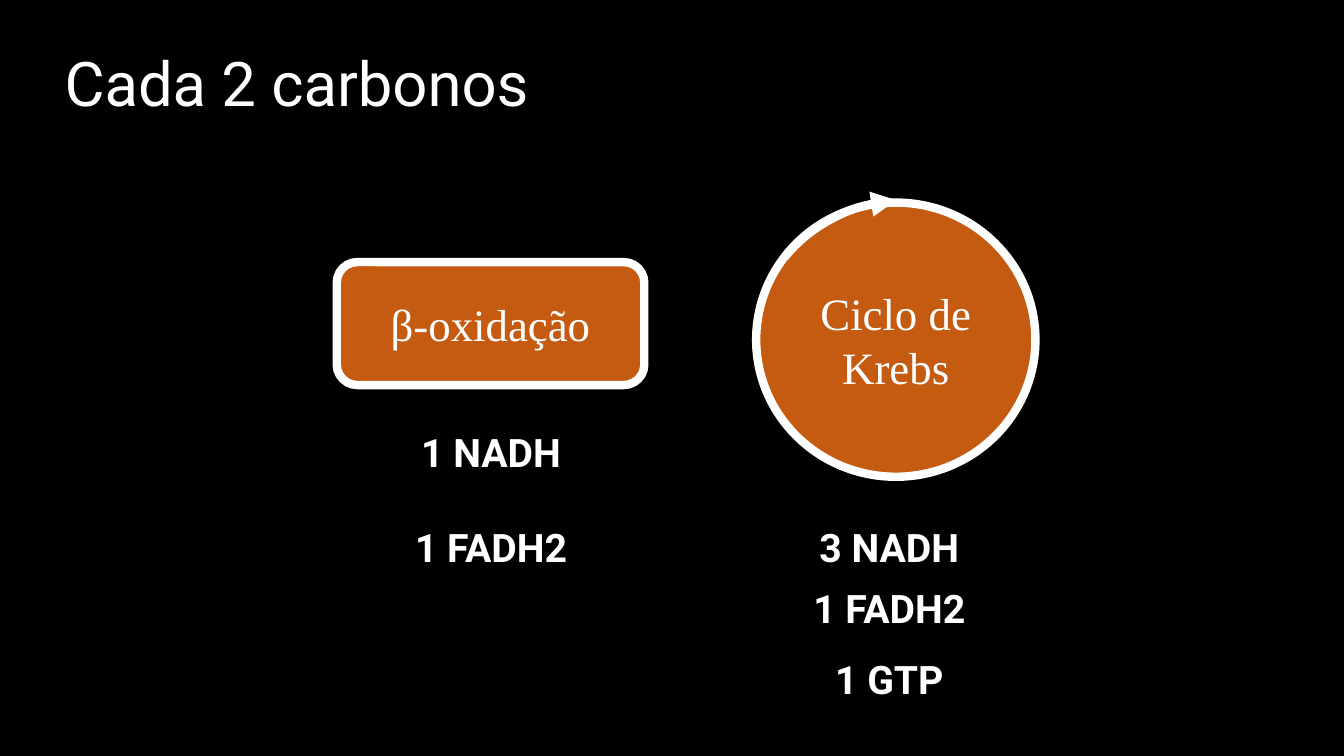
import pptx
import pptx.util
import pptx.dml.color
import pptx.enum.shapes
import pptx.enum.text
import pptx.oxml.ns
import lxml.etree

COLORS = {"back": "000000", "text": "FFFFFF", "fill": "C55A11"}
SHAPE = pptx.enum.shapes.MSO_SHAPE
ALIGN = pptx.enum.text.PP_ALIGN
MIDDLE = pptx.enum.text.MSO_ANCHOR.MIDDLE
Inches = pptx.util.Inches


def color(name):
    return pptx.dml.color.RGBColor.from_string(COLORS[name])


def write(frame, text, size=28, font="Roboto", bold=False,
          align=ALIGN.CENTER, space=None, anchor=None):
    frame.word_wrap = True
    if anchor is not None:
        frame.vertical_anchor = anchor
    para = frame.paragraphs[0]
    para.alignment = align
    if space:
        para.line_spacing = space
    run = para.add_run()
    run.text = text
    run.font.size = pptx.util.Pt(size)
    run.font.name = font
    run.font.bold = bold
    run.font.color.rgb = color("text")


class Deck:
    def __init__(self):
        self.file = pptx.Presentation()
        self.file.slide_width = Inches(13.33)
        self.file.slide_height = Inches(7.5)
        self.slide = self.file.slides.add_slide(self.file.slide_layouts[5])
        back = self.slide.background.fill
        back.solid()
        back.fore_color.rgb = color("back")

    def title(self, text, left, top, width, height):
        head = self.slide.shapes.title
        head.left, head.top = Inches(left), Inches(top)
        head.width, head.height = Inches(width), Inches(height)
        write(head.text_frame, text, size=44, align=ALIGN.LEFT,
              space=0.9, anchor=MIDDLE)

    def outline(self, kind, *place):
        shape = self.slide.shapes.add_shape(kind, *map(Inches, place))
        shape.shadow.inherit = False
        shape.line.color.rgb = color("text")
        shape.line.width = pptx.util.Pt(6)
        return shape

    def block(self, kind, text, *place):
        shape = self.outline(kind, *place)
        shape.fill.solid()
        shape.fill.fore_color.rgb = color("fill")
        write(shape.text_frame, text, size=32, font="Times New Roman",
              anchor=MIDDLE)

    def arc(self, start, end, *place):
        shape = self.outline(SHAPE.ARC, *place)
        shape.fill.background()
        shape.adjustments[0] = start
        shape.adjustments[1] = end
        line = shape.line._get_or_add_ln()
        lxml.etree.SubElement(line, pptx.oxml.ns.qn("a:tailEnd"),
                              type="triangle")

    def label(self, text, left, top):
        box = self.slide.shapes.add_textbox(
            Inches(left), Inches(top), Inches(1.8), Inches(0.57))
        write(box.text_frame, text, bold=True)


def main():
    deck = Deck()
    deck.title("Cada 2 carbonos", 0.54, 0.38, 11.5, 0.96)

    # Krebs cycle with its turning arrow
    deck.block(SHAPE.OVAL, "Ciclo de Krebs", 7.5, 2.01, 2.77, 2.72)
    deck.arc(127.21, 158.34, 7.5, 1.98, 3.07, 2.72)

    # Beta oxidation
    deck.block(SHAPE.ROUNDED_RECTANGLE, "β-oxidação", 3.34, 2.6, 3.05, 1.22)

    # Yields under each pathway
    yields = {
        3.97: [("1 NADH", 4.2), ("1 FADH2", 5.14)],
        7.92: [("3 NADH", 5.14), ("1 FADH2", 5.75), ("1 GTP", 6.45)],
    }
    for left, items in yields.items():
        for text, top in items:
            deck.label(text, left, top)

    deck.file.save("out.pptx")


if __name__ == "__main__":
    main()
